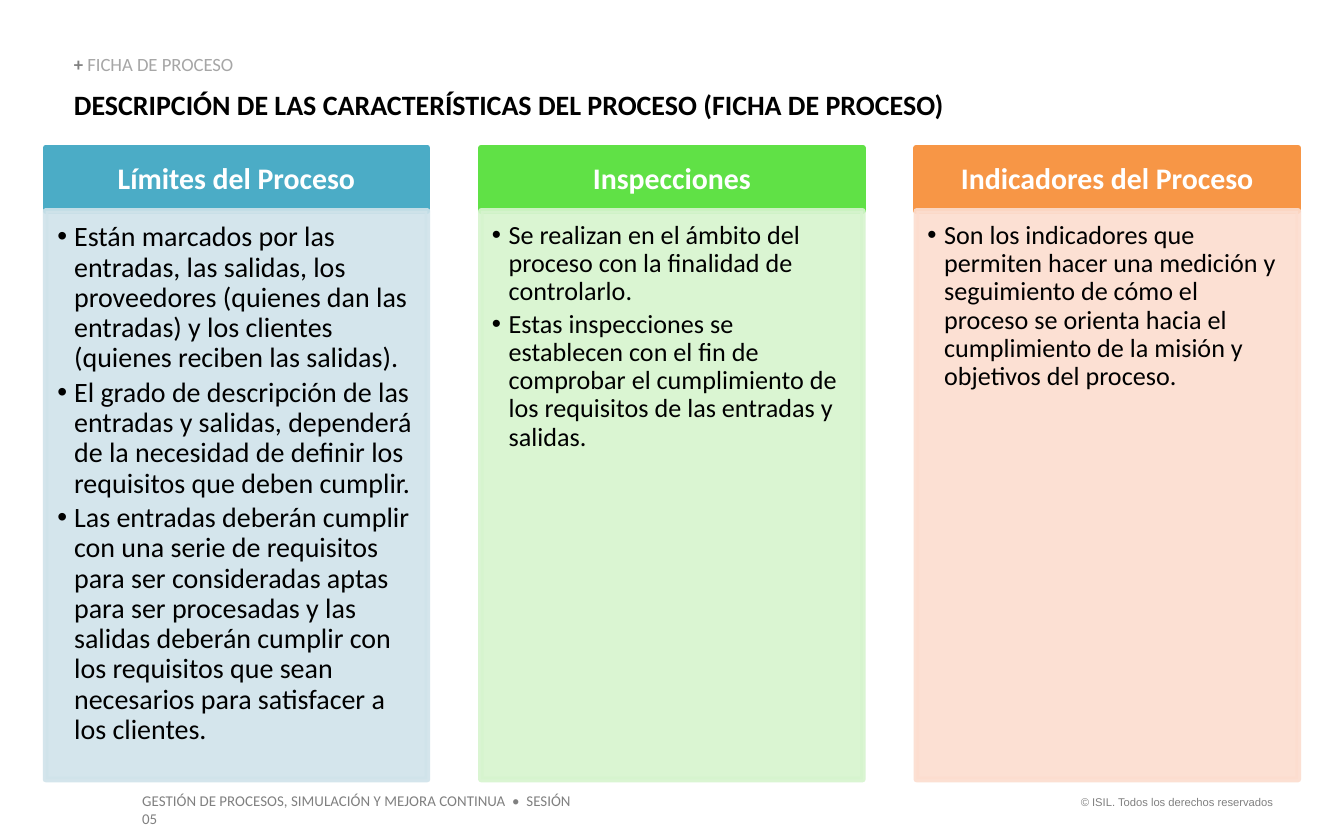
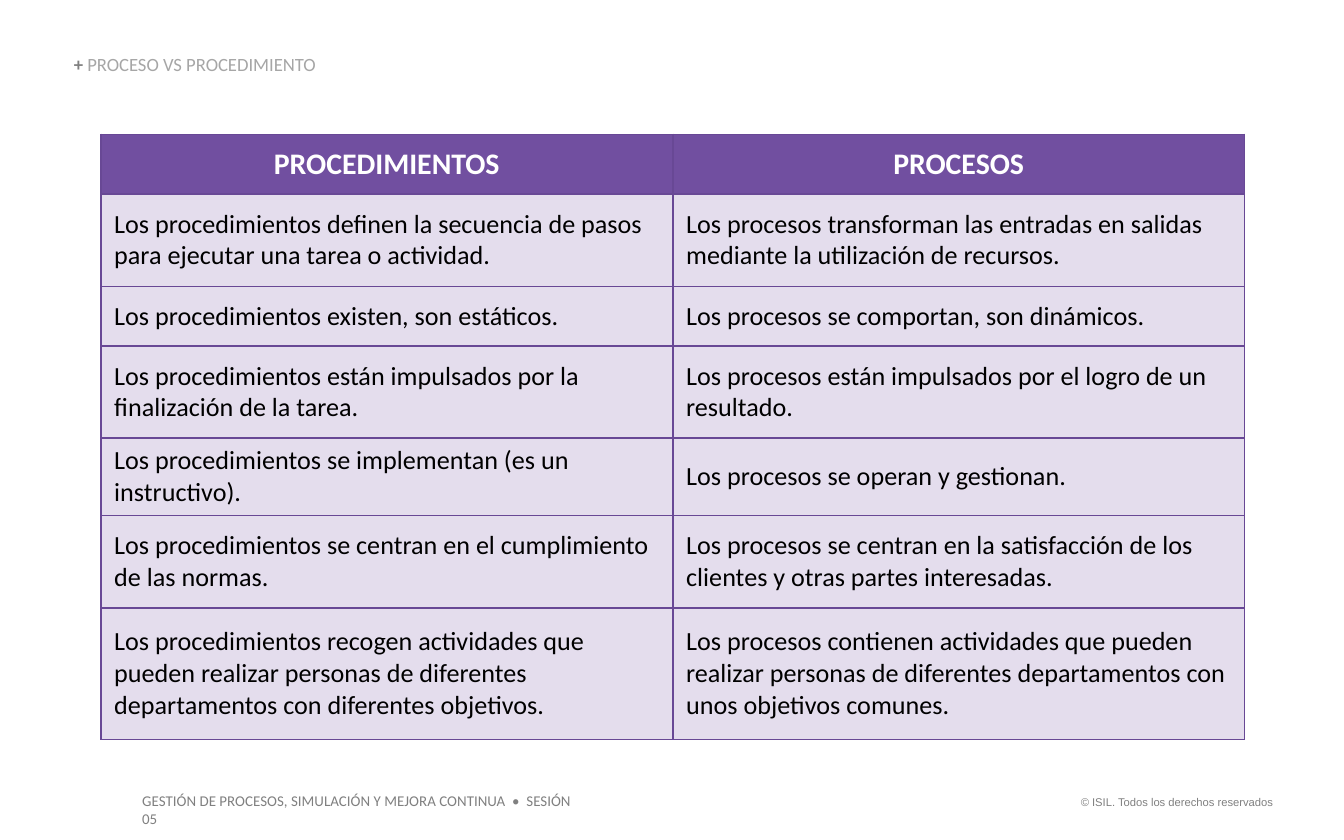
from dataclasses import dataclass

from lxml import etree
from pptx import Presentation
from pptx.dml.color import RGBColor
from pptx.enum.shapes import MSO_SHAPE
from pptx.enum.text import MSO_ANCHOR, MSO_AUTO_SIZE, PP_ALIGN
from pptx.oxml.ns import qn
from pptx.util import Pt

RECTANGLE = MSO_SHAPE.RECTANGLE
TOP, MIDDLE, BOTTOM = MSO_ANCHOR.TOP, MSO_ANCHOR.MIDDLE, MSO_ANCHOR.BOTTOM
LEFT, CENTER, RIGHT = PP_ALIGN.LEFT, PP_ALIGN.CENTER, PP_ALIGN.RIGHT
NO_AUTOFIT = MSO_AUTO_SIZE.NONE
COMPARISON_LAYOUT, TITLE_ONLY_LAYOUT = 4, 5


@dataclass(frozen=True)
class Theme:
    font: str = "Calibri"
    legal_font: str = "Arial"
    text: str = "000000"
    light: str = "FFFFFF"
    gray: str = "808080"
    pale_gray: str = "A6A6A6"
    table_header: str = "714FA0"
    table_body: str = "E4DDED"
    table_border: str = "684895"
    heading_size: float = 16
    title_size: float = 15
    cell_size: float = 14
    kicker_size: float = 10
    footer_size: float = 8
    legal_size: float = 6
    tight_spacing: float = 0.9


THEME = Theme()

KICKER_BOX = (39.6, 29.5, 191.5, 10.8)
TITLE_BOX = (39.6, 46.8, 635.8, 18)

# Columns: heading, heading colour, panel colour, text size, items
COLUMNS = [
    ("Límites del Proceso", "4BACC6", "D0E3EA", 15, [
        "Están marcados por las entradas, las salidas, los proveedores (quienes dan las "
        "entradas) y los clientes (quienes reciben las salidas).",
        "El grado de descripción de las entradas y salidas, dependerá de la necesidad de "
        "definir los requisitos que deben cumplir.",
        "Las entradas deberán cumplir con una serie de requisitos para ser consideradas "
        "aptas para ser procesadas y las salidas deberán cumplir con los requisitos que "
        "sean necesarios para satisfacer a los clientes.",
    ]),
    ("Inspecciones", "60E146", "D6F4CE", 14, [
        "Se realizan en el ámbito del proceso con la finalidad de controlarlo.",
        "Estas inspecciones se establecen con el fin de comprobar el cumplimiento de los "
        "requisitos de las entradas y salidas.",
    ]),
    ("Indicadores del Proceso", "F79646", "FCDDCF", 14, [
        "Son los indicadores que permiten hacer una medición y seguimiento de cómo el "
        "proceso se orienta hacia el cumplimiento de la misión y objetivos del proceso.",
    ]),
]
COLUMN_LEFT, COLUMN_PITCH, COLUMN_WIDTH = 24.4, 233.25, 204.6
HEADING_TOP, HEADING_HEIGHT, PANEL_HEIGHT = 79.2, 33.8, 304.6

# Comparison rows: row height, procedure, process
COMPARISON = [
    (31.9, "PROCEDIMIENTOS", "PROCESOS"),
    (49.5, "Los procedimientos definen la secuencia de pasos para ejecutar una tarea o actividad.",
     "Los procesos transforman las entradas en salidas mediante la utilización de recursos."),
    (31.9, "Los procedimientos existen, son estáticos.",
     "Los procesos se comportan, son dinámicos."),
    (49.5, "Los procedimientos están impulsados por la finalización de la tarea.",
     "Los procesos están impulsados por el logro de un resultado."),
    (31.9, "Los procedimientos se implementan (es un instructivo).",
     "Los procesos se operan y gestionan."),
    (49.5, "Los procedimientos se centran en el cumplimiento de las normas.",
     "Los procesos se centran en la satisfacción de los clientes y otras partes interesadas."),
    (70.7, "Los procedimientos recogen actividades que pueden realizar personas de diferentes "
     "departamentos con diferentes objetivos.",
     "Los procesos contienen actividades que pueden realizar personas de diferentes "
     "departamentos con unos objetivos comunes."),
]


# Text helpers
def add_run(paragraph, text, size, color=THEME.text, bold=False, font=THEME.font):
    run = paragraph.add_run()
    run.text = text
    run.font.name = font
    run.font.size = Pt(size)
    run.font.bold = bold
    run.font.color.rgb = RGBColor.from_string(color)


def set_paragraph(paragraph, alignment=LEFT, line_spacing=1.0, space_after=0):
    paragraph.alignment = alignment
    paragraph.line_spacing = line_spacing
    paragraph.space_before = Pt(0)
    paragraph.space_after = Pt(space_after)


def set_frame(shape, anchor, insets=(0, 0, 0, 0)):
    frame = shape.text_frame
    frame.word_wrap = True
    frame.auto_size = NO_AUTOFIT
    frame.vertical_anchor = anchor
    (frame.margin_left, frame.margin_top,
     frame.margin_right, frame.margin_bottom) = map(Pt, insets)
    return frame


def add_bullet(paragraph, indent):
    properties = paragraph._p.get_or_add_pPr()
    properties.set("marL", str(Pt(indent)))
    properties.set("indent", str(-Pt(indent)))
    etree.SubElement(properties, qn("a:buChar")).set("char", "•")


# Shape helpers
def place(shape, box):
    shape.left, shape.top, shape.width, shape.height = map(Pt, box)


def paint(shape, color, opacity=100):
    shape.fill.solid()
    shape.fill.fore_color.rgb = RGBColor.from_string(color)
    shape.line.color.rgb = RGBColor.from_string(color)
    shape.line.width = Pt(3)
    if opacity < 100:
        for color_element in shape.element.spPr.iter(qn("a:srgbClr")):
            etree.SubElement(color_element, qn("a:alpha")).set("val", str(opacity * 1000))


# Shared slide parts
def fill_kicker(placeholder, text):
    place(placeholder, KICKER_BOX)
    paragraph = set_frame(placeholder, BOTTOM).paragraphs[0]
    set_paragraph(paragraph, line_spacing=THEME.tight_spacing)
    add_run(paragraph, "+ ", THEME.kicker_size, THEME.gray, bold=True)
    add_run(paragraph, text, THEME.kicker_size, THEME.pale_gray)


def fill_title(placeholder, text):
    place(placeholder, TITLE_BOX)
    paragraph = set_frame(placeholder, TOP).paragraphs[0]
    set_paragraph(paragraph)
    add_run(paragraph, text, THEME.title_size, bold=True)


def add_footer_text(slide, box, text, size, font, alignment):
    shape = slide.shapes.add_textbox(*map(Pt, box))
    paragraph = set_frame(shape, TOP, (7.2, 3.6, 7.2, 3.6)).paragraphs[0]
    set_paragraph(paragraph, alignment)
    add_run(paragraph, text, size, THEME.gray, font=font)


def add_footer(slide):
    add_footer_text(slide, (567.4, 422.6, 121.7, 14.4), "© ISIL. Todos los derechos reservados",
                    THEME.legal_size, THEME.legal_font, RIGHT)
    add_footer_text(slide, (69.1, 420.5, 254.2, 17.3),
                    "GESTIÓN DE PROCESOS, SIMULACIÓN Y MEJORA CONTINUA  •  SESIÓN 05",
                    THEME.footer_size, THEME.font, LEFT)


# Columns with a heading above a bulleted panel
def add_heading(slide, box, text, color):
    size = THEME.heading_size
    heading = slide.shapes.add_shape(RECTANGLE, *map(Pt, box))
    heading.shadow.inherit = False
    paint(heading, color)
    insets = [size * factor for factor in (0.56, 0.32, 0.56, 0.32)]
    paragraph = set_frame(heading, MIDDLE, insets).paragraphs[0]
    set_paragraph(paragraph, CENTER, THEME.tight_spacing)
    add_run(paragraph, text, size, THEME.light, bold=True)
    return heading


def fill_panel(placeholder, box, items, color, size):
    place(placeholder, box)
    paint(placeholder, color, opacity=90)
    frame = set_frame(placeholder, TOP, [size * factor for factor in (0.42, 0.42, 0.56, 0.63)])
    for index, item in enumerate(items):
        paragraph = frame.add_paragraph() if index else frame.paragraphs[0]
        paragraph.level = 1
        add_bullet(paragraph, 9)
        set_paragraph(paragraph, LEFT, THEME.tight_spacing, 0.15 * size)
        add_run(paragraph, item, size)


def add_column(slide, placeholder, index, column):
    heading_text, heading_color, panel_color, size, items = column
    left = COLUMN_LEFT + index * COLUMN_PITCH
    heading = add_heading(slide, (left, HEADING_TOP, COLUMN_WIDTH, HEADING_HEIGHT),
                          heading_text, heading_color)
    panel_box = (left, HEADING_TOP + HEADING_HEIGHT, COLUMN_WIDTH, PANEL_HEIGHT)
    fill_panel(placeholder, panel_box, items, panel_color, size)
    heading.element.addnext(placeholder.element)  # the panel edge lies over the heading


# Comparison table
def add_borders(cell):
    properties = cell._tc.get_or_add_tcPr()
    for side in ("a:lnL", "a:lnR", "a:lnT", "a:lnB"):
        line = etree.SubElement(properties, qn(side))
        line.set("w", str(Pt(1)))
        fill = etree.SubElement(line, qn("a:solidFill"))
        etree.SubElement(fill, qn("a:srgbClr")).set("val", THEME.table_border)


def fill_cell(cell, text, is_header):
    add_borders(cell)
    cell.fill.solid()
    cell.fill.fore_color.rgb = RGBColor.from_string(
        THEME.table_header if is_header else THEME.table_body)
    cell.vertical_anchor = MIDDLE
    paragraph = cell.text_frame.paragraphs[0]
    if is_header:
        paragraph.alignment = CENTER
        add_run(paragraph, text, THEME.heading_size, THEME.light, bold=True)
    else:
        add_run(paragraph, text, THEME.cell_size)


def add_comparison_table(slide, rows):
    height = sum(row[0] for row in rows)
    table = slide.shapes.add_table(len(rows), 2, Pt(54), Pt(72), Pt(612.8), Pt(height)).table
    table.horz_banding = False
    for row_index, (row_height, *texts) in enumerate(rows):
        table.rows[row_index].height = Pt(row_height)
        for column_index, text in enumerate(texts):
            fill_cell(table.cell(row_index, column_index), text, row_index == 0)


# Slides
def build_process_sheet(presentation):
    slide = presentation.slides.add_slide(presentation.slide_layouts[COMPARISON_LAYOUT])
    title, kicker, *panels = slide.placeholders
    add_footer(slide)
    fill_title(title, "DESCRIPCIÓN DE LAS CARACTERÍSTICAS DEL PROCESO (FICHA DE PROCESO)")
    fill_kicker(kicker, "FICHA DE PROCESO")
    for index, (panel, column) in enumerate(zip(panels, COLUMNS)):
        add_column(slide, panel, index, column)


def build_process_comparison(presentation):
    slide = presentation.slides.add_slide(presentation.slide_layouts[TITLE_ONLY_LAYOUT])
    add_footer(slide)
    add_comparison_table(slide, COMPARISON)
    fill_kicker(slide.shapes.title, "PROCESO VS PROCEDIMIENTO")


def main():
    presentation = Presentation()
    presentation.slide_width = Pt(720)
    presentation.slide_height = Pt(450)
    build_process_sheet(presentation)
    build_process_comparison(presentation)
    presentation.save("out.pptx")


if __name__ == "__main__":
    main()
